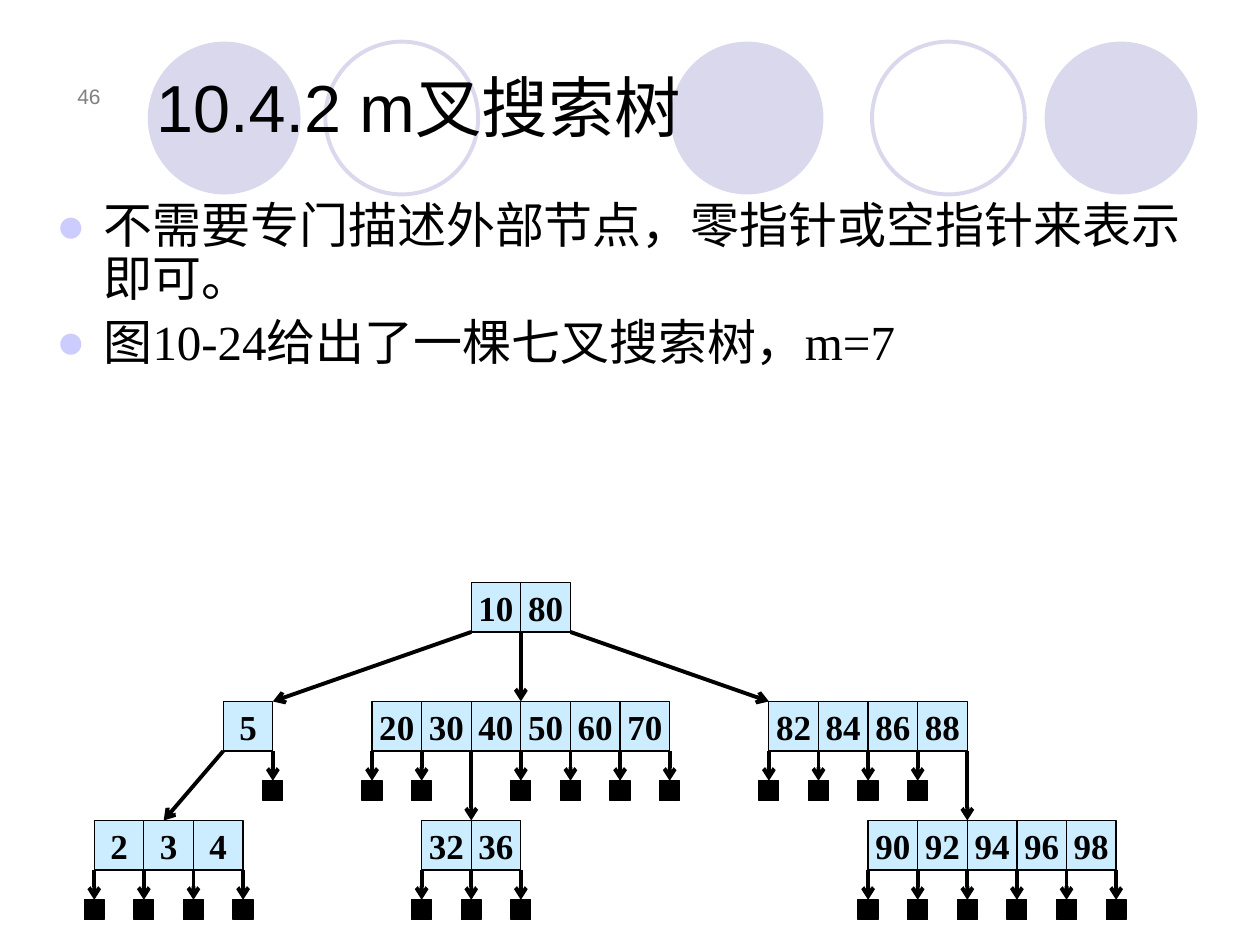
from lxml import etree
from pptx import Presentation
from pptx.dml.color import RGBColor
from pptx.enum.shapes import MSO_CONNECTOR, MSO_SHAPE
from pptx.enum.text import MSO_ANCHOR, PP_ALIGN
from pptx.oxml.ns import qn
from pptx.util import Inches, Pt

PX = 7200  # EMU; 50 px make one centimetre
COLORS = {name: RGBColor.from_string(value) for name, value in {
    "circle": "D9D8EC", "number": "808080", "ink": "000000",
    "bullet": "CCCCFF", "key": "CCECFF"}.items()}

KEY, LEAF, LEAF_DROP = 50, 20, 80
LEVEL_TOPS = [587, 707, 827]
# level, left edge, keys, gaps between keys that lead to a child node
NODES = [
    (0, 475, [10, 80], {0, 1, 2}),
    (1, 225, [5], {0}),
    (1, 375, [20, 30, 40, 50, 60, 70], {2}),
    (1, 775, [82, 84, 86, 88], {4}),
    (2, 95, [2, 3, 4], set()),
    (2, 425, [32, 36], set()),
    (2, 875, [90, 92, 94, 96, 98], set()),
]
# parent level, start x, end x
BRANCHES = [(0, 475, 275), (0, 525, 525), (0, 575, 775),
            (1, 225, 165), (1, 475, 475), (1, 975, 975)]

prs = Presentation()
prs.slide_width, prs.slide_height = Inches(10), Inches(7.5)
slide = prs.slides.add_slide(prs.slide_layouts[6])


def add_block(kind, left, top, width, height, fill, line, line_width):
    block = slide.shapes.add_shape(
        kind, *[n * PX for n in (left, top, width, height)])
    block.shadow.inherit = False
    if fill:
        block.fill.solid()
        block.fill.fore_color.rgb = COLORS[fill]
    else:
        block.fill.background()
    if line:
        block.line.color.rgb = COLORS[line]
        block.line.width = Pt(line_width)
    else:
        block.line.fill.background()
    return block


def add_arrow(x1, y1, x2, y2):
    arrow = slide.shapes.add_connector(
        MSO_CONNECTOR.STRAIGHT, *[n * PX for n in (x1, y1, x2, y2)])
    arrow.line.color.rgb = COLORS["ink"]
    arrow.line.width = Pt(2.25)
    etree.SubElement(arrow.line._get_or_add_ln(), qn("a:tailEnd"), type="arrow")
    etree.SubElement(arrow._element.spPr, qn("a:effectLst"))
    return arrow


# Row of background circles
for left, filled in [(676, True), (1053, True), (149, True),
                     (879, False), (328, False)]:
    add_block(MSO_SHAPE.OVAL, left, 42, 154, 154,
              "circle" if filled else None, None if filled else "circle", 2.25)

# Page number, title and body
TEXTS = [
    ((44, 56, 70, 60), ["46"], MSO_ANCHOR.BOTTOM, PP_ALIGN.RIGHT,
     {"size": Pt(12), "name": "Arial"}, "number"),
    ((145, 27, 1081, 126), ["10.4.2 m叉搜索树"], MSO_ANCHOR.BOTTOM, PP_ALIGN.LEFT,
     {"size": Pt(38), "name": "Arial"}, "ink"),
    ((44, 197, 1200, 370),
     ["不需要专门描述外部节点，零指针或空指针来表示即可。",
      "图10-24给出了一棵七叉搜索树，m=7"], MSO_ANCHOR.TOP, PP_ALIGN.LEFT,
     {"size": Pt(28), "name": "Times New Roman"}, "ink"),
]
for box, lines, anchor, align, font_format, color in TEXTS:
    frame = slide.shapes.add_textbox(*[n * PX for n in box]).text_frame
    frame.word_wrap = True
    frame.vertical_anchor = anchor
    frame.text = "\n".join(lines)
    for index, paragraph in enumerate(frame.paragraphs):
        paragraph.alignment = align
        if len(lines) > 1:
            paragraph.line_spacing = 0.9
            if index:
                paragraph.space_before = Pt(6)
            props = paragraph._p.get_or_add_pPr()
            props.set("marL", str(48 * PX))
            props.set("indent", str(-48 * PX))
            bullet_color = etree.SubElement(props, qn("a:buClr"))
            etree.SubElement(bullet_color, qn("a:srgbClr"),
                             val=str(COLORS["bullet"]))
            etree.SubElement(props, qn("a:buFont"), typeface="Arial")
            etree.SubElement(props, qn("a:buChar"), char="●")
        font = paragraph.runs[0].font
        for attribute, value in font_format.items():
            setattr(font, attribute, value)
        font.color.rgb = COLORS[color]

# Search tree: keys side by side, an empty leaf under each gap without a child
KEY_FONT = {"size": Pt(20), "name": "Times New Roman", "bold": True}
for level, left, keys, child_gaps in NODES:
    top = LEVEL_TOPS[level]
    for index, key in enumerate(keys):
        cell = add_block(MSO_SHAPE.RECTANGLE, left + index * KEY, top, KEY, KEY,
                         "key", "ink", 0.75)
        frame = cell.text_frame
        frame.word_wrap = False
        frame.vertical_anchor = MSO_ANCHOR.MIDDLE
        frame.text = str(key)
        frame.paragraphs[0].alignment = PP_ALIGN.CENTER
        font = frame.paragraphs[0].runs[0].font
        for attribute, value in KEY_FONT.items():
            setattr(font, attribute, value)
        font.color.rgb = COLORS["ink"]
    for gap in range(len(keys) + 1):
        if gap in child_gaps:
            continue
        x = left + gap * KEY
        leaf = add_block(MSO_SHAPE.RECTANGLE, x - LEAF // 2, top + LEAF_DROP,
                         LEAF, LEAF, "ink", "ink", 0.75)
        add_arrow(x, top + KEY, x, top + LEAF_DROP).end_connect(leaf, 0)

for level, start, end in BRANCHES:
    add_arrow(start, LEVEL_TOPS[level] + KEY, end, LEVEL_TOPS[level + 1])

prs.save("out.pptx")
